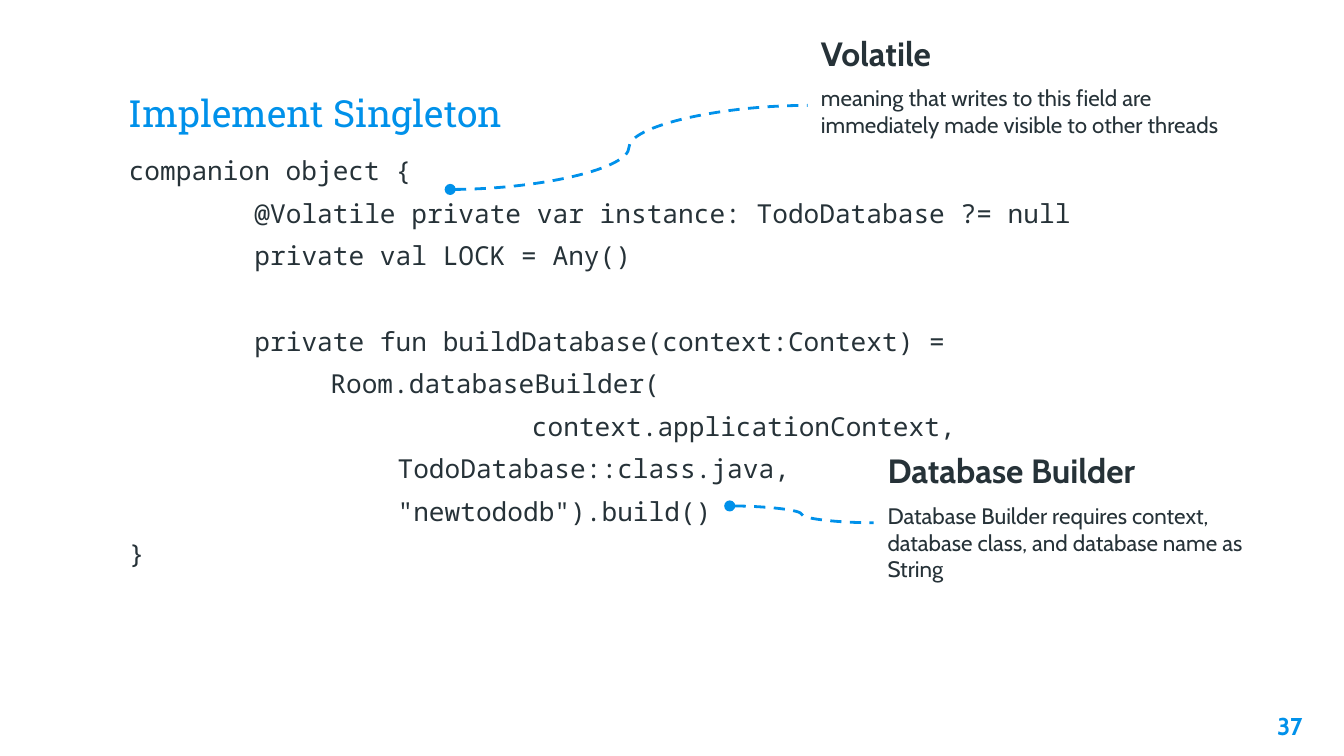
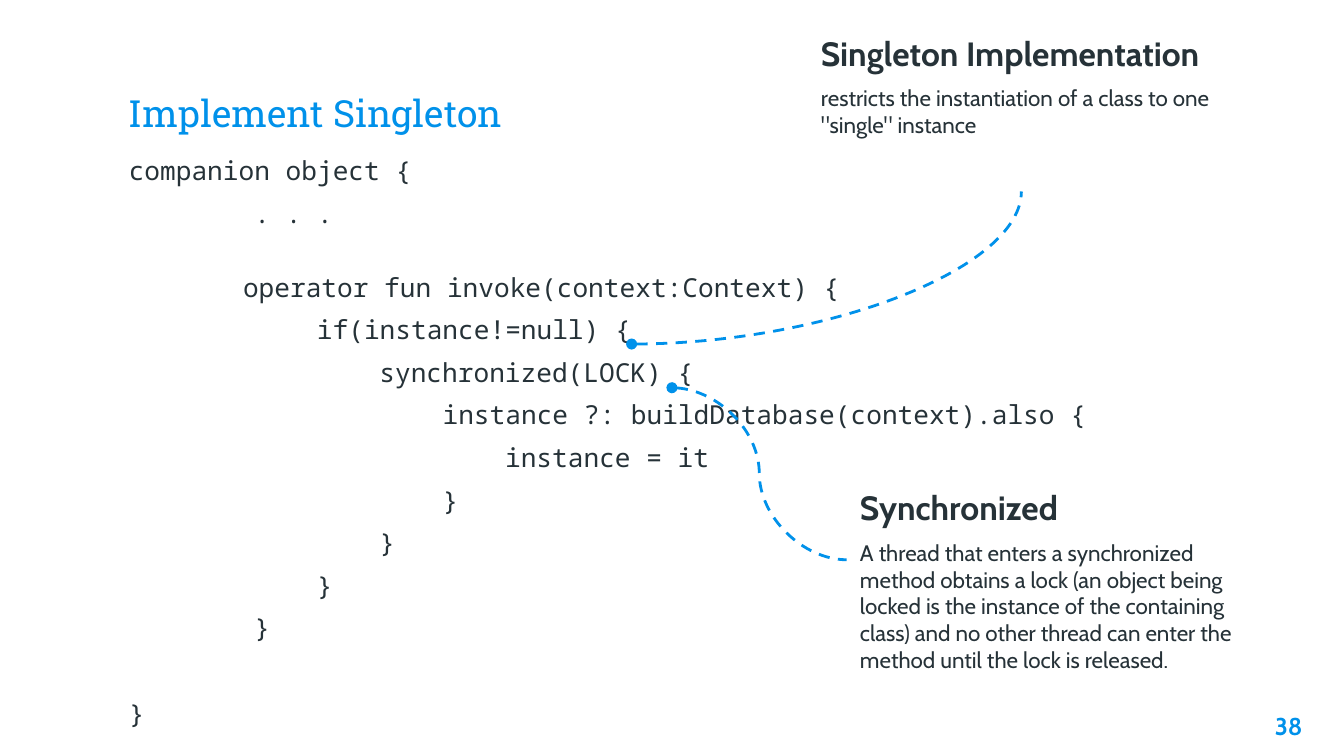
from lxml import etree
from pptx import Presentation, util as u
from pptx.dml.color import RGBColor
from pptx.enum import dml, shapes, text
from pptx.oxml.ns import qn

PX = 4572  # EMU in one px, 200 px to the inch
BLUE, DARK = "0091EA", "263238"
HEAD, BODY, MONO = "Roboto Slab", "Cabin", "Noto Sans Mono"
GAP, LINE = 6, 16.8  # points before a code line, and its height
SKIP = GAP + GAP + LINE  # points before a line that follows an empty one

# Code lines are (indent, text, points before); callouts are (left, top, head, note);
# curves are (from x, from y, to x, to y, preset).
pages = [
    (37,
     [(0, "companion object {", GAP),
      (187, "@Volatile private var instance: TodoDatabase ?= null", GAP),
      (187, "private val LOCK = Any()", GAP),
      (187, "private fun buildDatabase(context:Context) =", SKIP),
      (300, "Room.databaseBuilder(", GAP),
      (600, "context.applicationContext,", GAP),
      (400, "TodoDatabase::class.java,", GAP),
      (400, "\"newtododb\").build()", GAP),
      (0, "}", GAP)],
     [(1202, 29, "Volatile",
       "meaning that writes to this field are immediately made visible to other threads"),
      (1301, 650, "Database Builder",
       "Database Builder requires context, database class, and database name as String")],
     [(670, 282, 1202, 157, "curvedConnector3"),
      (1086, 753, 1300, 778, "curvedConnector3")]),
    (38,
     [(0, "companion object {", GAP),
      (187, ". . .", GAP),
      (170, "operator fun invoke(context:Context) {", GAP + LINE),
      (280, "if(instance!=null) {", GAP),
      (373, "synchronized(LOCK) {", GAP),
      (467, "instance ?: buildDatabase(context).also {", GAP),
      (560, "instance = it", GAP),
      (467, "}", GAP),
      (373, "}", GAP),
      (280, "}", GAP),
      (187, "}", GAP),
      (0, "}", SKIP)],
     [(1202, 29, "Singleton Implementation",
       "restricts the instantiation of a class to one \"single\" instance"),
      (1260, 705, "Synchronized",
       "A thread that enters a synchronized method obtains a lock (an object being "
       "locked is the instance of the containing class) and no other thread can enter "
       "the method until the lock is released.")],
     [(940, 512, 1520, 285, "curvedConnector2"),
      (1000, 577, 1260, 833, "curvedConnector3")]),
]


def color(fmt, tone):
    fmt.rgb = RGBColor.from_string(tone)


def write(slide, box, lines, font=BODY, tone=DARK, align="LEFT", anchor="TOP", height=None):
    """Add a text box; each line is (text, size, bold, indent, points before)."""
    frame = slide.shapes.add_textbox(*[n * PX for n in box]).text_frame
    frame.word_wrap = True
    frame.vertical_anchor = text.MSO_ANCHOR[anchor]
    frame.margin_left = frame.margin_right = 20 * PX
    frame.margin_top = frame.margin_bottom = 20 * PX
    for i, (words, size, bold, indent, before) in enumerate(lines):
        para = frame.add_paragraph() if i else frame.paragraphs[0]
        para.alignment = text.PP_ALIGN[align]
        para.space_before = u.Pt(before)
        if height:
            para.line_spacing = u.Pt(height)
        if indent:
            para._p.get_or_add_pPr().set("marL", str(indent * PX))
        run = para.add_run()
        run.text = words
        run.font.name, run.font.size, run.font.bold = font, u.Pt(size), bold
        color(run.font.color, tone)


deck = Presentation()
deck.slide_width, deck.slide_height = 2000 * PX, 1125 * PX

for number, code, notes, curves in pages:
    slide = deck.slides.add_slide(deck.slide_layouts[6])
    write(slide, (172, 67, 1656, 154), [("Implement Singleton", 20, False, 0, 0)],
          font=HEAD, tone=BLUE, anchor="BOTTOM")
    write(slide, (172, 210, 1656, 782),
          [(words, 14, False, indent, before) for indent, words, before in code],
          font=MONO, height=LINE)
    write(slide, (1838, 1039, 120, 86), [(str(number), 13, True, 0, 0)],
          tone=BLUE, align="RIGHT")

    for left, top, head, note in notes:
        write(slide, (left, top, 636, 256),
              [(head, 18, True, 0, GAP), (note, 12, False, 0, GAP)])

    for *ends, preset in curves:
        curve = slide.shapes.add_connector(shapes.MSO_CONNECTOR.CURVE, *[n * PX for n in ends])
        color(curve.line.color, BLUE)
        curve.line.width = u.Pt(1.5)
        curve.line.dash_style = dml.MSO_LINE.DASH
        props = curve._element.spPr
        props.find(qn("a:prstGeom")).set("prst", preset)
        etree.SubElement(props.find(qn("a:ln")), qn("a:headEnd"), type="oval")
        etree.SubElement(props, qn("a:effectLst"))

deck.save("out.pptx")
